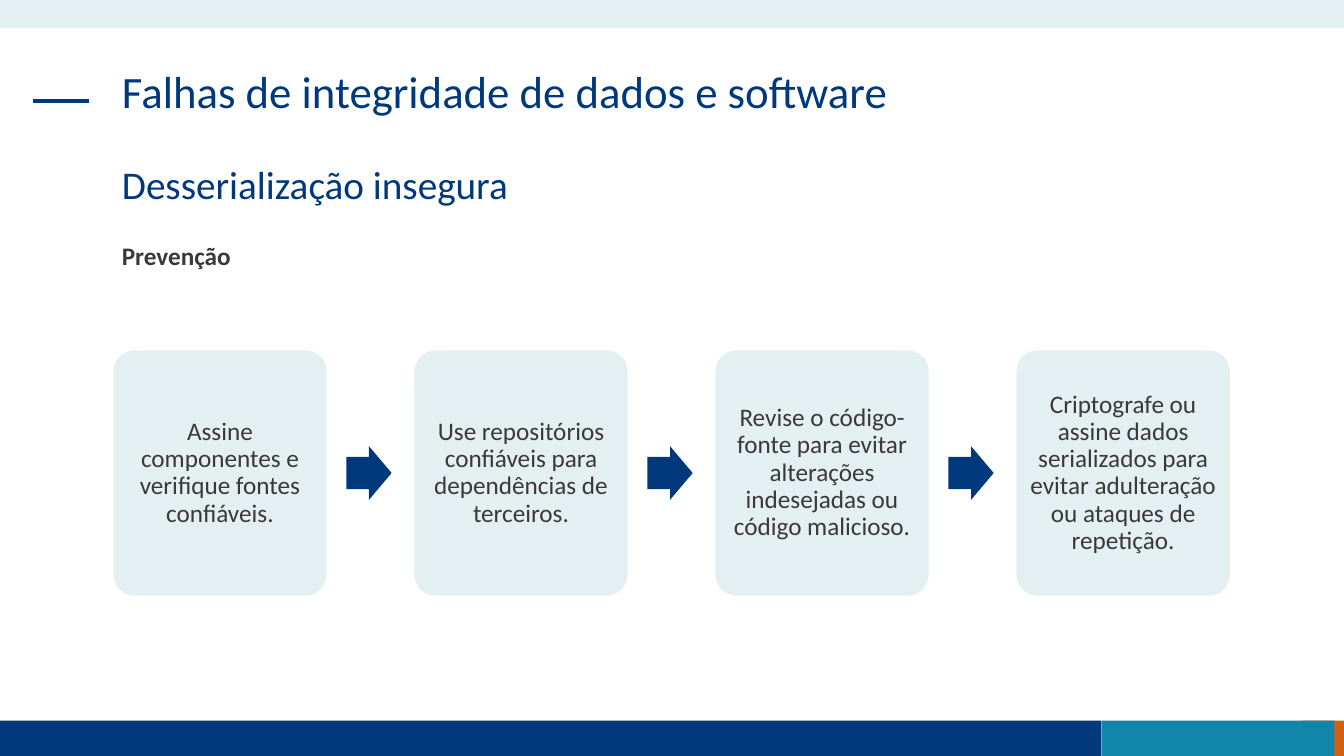
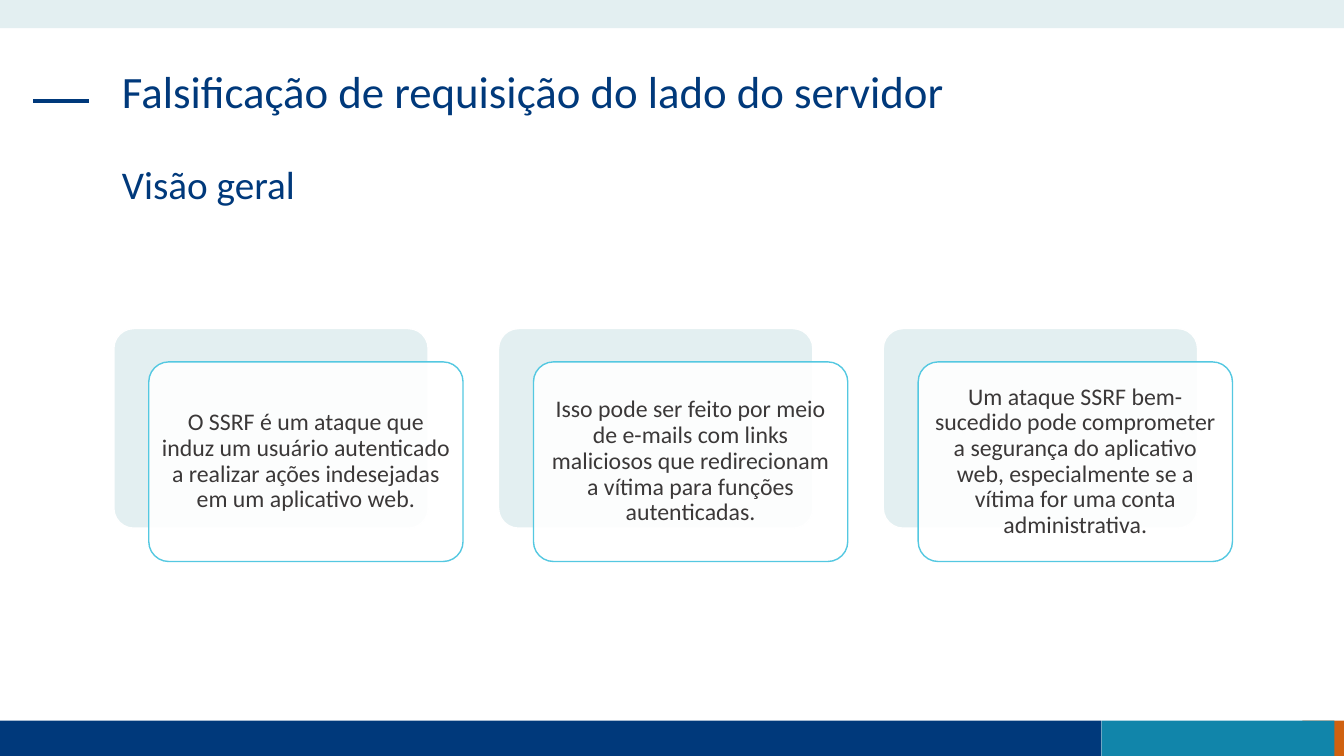
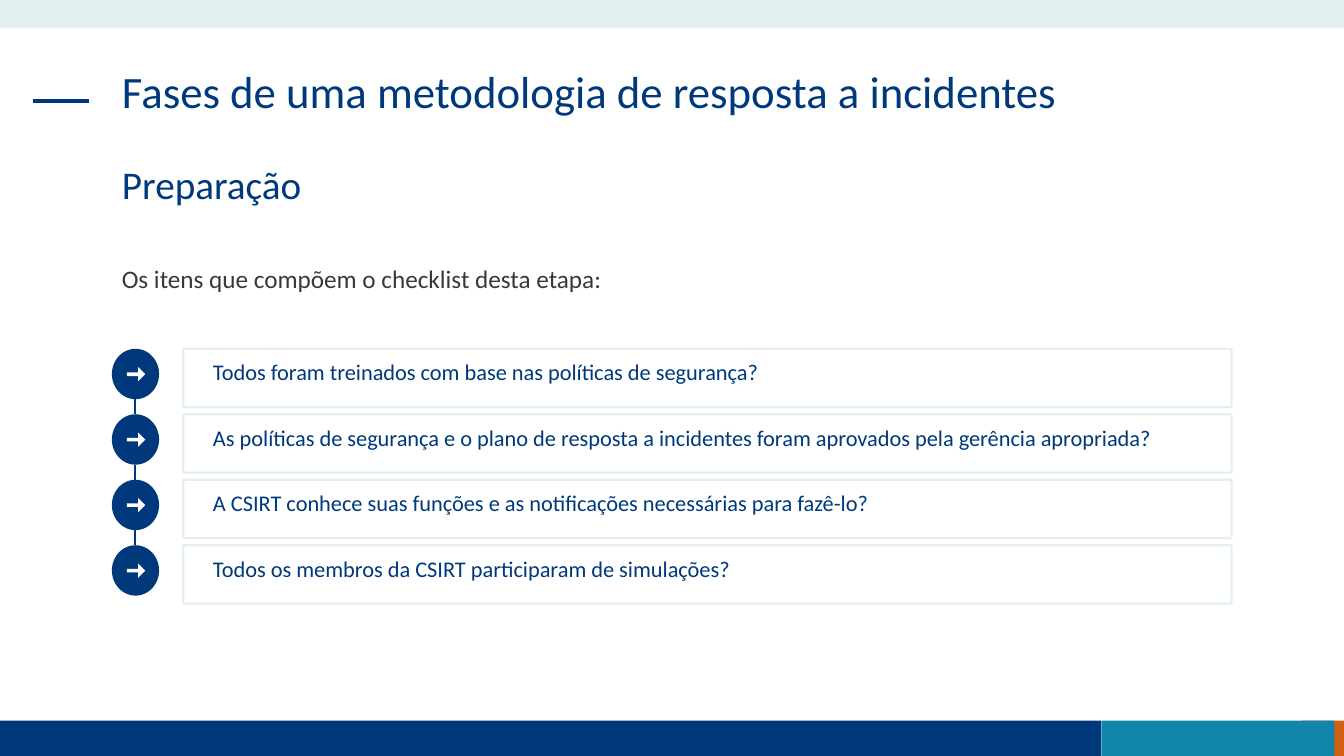
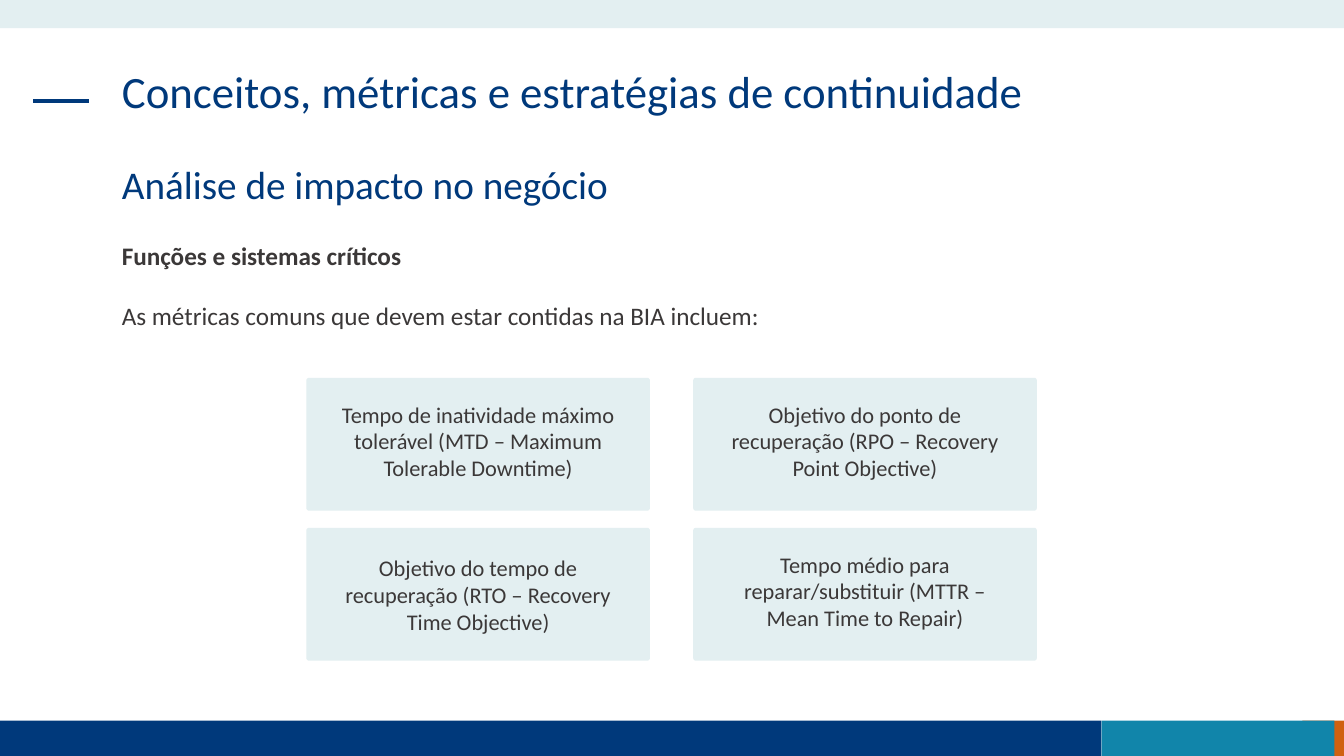
import pptx
import pptx.dml.color
import pptx.enum.shapes
import pptx.enum.text
import pptx.oxml.ns
import pptx.oxml.xmlchemy
import pptx.util

Cm = pptx.util.Cm
Pt = pptx.util.Pt
PRESET = pptx.enum.shapes.MSO_SHAPE
ALIGN = pptx.enum.text.PP_ALIGN
ANCHOR = pptx.enum.text.MSO_ANCHOR

FONT = "Calibri"
COLORS = {
    "navy": "00397B",
    "teal": "1185AA",
    "orange": "D06110",
    "mist": "E3EFF1",
    "sky": "54C8E1",
    "white": "FFFFFF",
    "text": "3B3838",
}
SLIDE_WIDTH, SLIDE_HEIGHT = 33.87, 19.05
CONTENT_LEFT, CONTENT_WIDTH = 2.82, 28.19


# --- Helpers: every length is a number of centimetres ---
def rgb(name):
    return pptx.dml.color.RGBColor.from_string(COLORS[name])


def add_text(frame, text, size, color, align=ALIGN.LEFT, bold=False, spacing=1.0):
    frame.word_wrap = True
    frame.auto_size = pptx.enum.text.MSO_AUTO_SIZE.NONE
    paragraph = frame.paragraphs[0]
    paragraph.alignment = align
    paragraph.line_spacing = spacing
    paragraph.space_before = Pt(0)
    run = paragraph.add_run()
    run.text = text
    run.font.name = FONT
    run.font.size = Pt(size)
    run.font.bold = bold
    run.font.color.rgb = rgb(color)


def set_margins(frame, left, top, right, bottom):
    frame.margin_left, frame.margin_top = Cm(left), Cm(top)
    frame.margin_right, frame.margin_bottom = Cm(right), Cm(bottom)


def add_shape(slide, preset, left, top, width, height, fill=None, line=None,
              line_width=1, adjustments=()):
    shape = slide.shapes.add_shape(preset, Cm(left), Cm(top), Cm(width), Cm(height))
    shape.shadow.inherit = False
    for index, value in enumerate(adjustments):
        shape.adjustments[index] = value
    if fill:
        shape.fill.solid()
        shape.fill.fore_color.rgb = rgb(fill)
    else:
        shape.fill.background()
    if line:
        shape.line.color.rgb = rgb(line)
        shape.line.width = Pt(line_width)
    else:
        shape.line.fill.background()
    return shape


def add_line(slide, start, end, width):
    connector = slide.shapes.add_connector(
        pptx.enum.shapes.MSO_CONNECTOR.STRAIGHT, *map(Cm, start + end))
    connector.line.color.rgb = rgb("navy")
    connector.line.width = Pt(width)
    connector.element.spPr.append(pptx.oxml.xmlchemy.OxmlElement("a:effectLst"))
    return connector


def set_opacity(shape, percent):
    color = shape.element.spPr.find(
        pptx.oxml.ns.qn("a:solidFill") + "/" + pptx.oxml.ns.qn("a:srgbClr"))
    alpha = pptx.oxml.xmlchemy.OxmlElement("a:alpha")
    alpha.set("val", str(percent * 1000))
    color.append(alpha)


def remove_bullet(paragraph):
    properties = paragraph._p.get_or_add_pPr()
    properties.set("marL", "0")
    properties.set("indent", "0")
    properties.append(pptx.oxml.xmlchemy.OxmlElement("a:buNone"))


# --- Shared frame: bands, accent line, headings ---
def move_bands_to_layout(slide, layout):
    """Draw the bands once and hand them to the layout all slides use."""
    for placeholder in list(layout.placeholders):
        if placeholder.placeholder_format.idx >= 10:
            layout.shapes.element.remove(placeholder.element)
    footer_top, footer_height = 18.16, 0.89
    bands = [
        (32.82, footer_top, 1.05, footer_height, "orange"),
        (0, footer_top, 27.76, footer_height, "navy"),
        (27.76, footer_top, 5.87, footer_height, "teal"),
        (0, 0, SLIDE_WIDTH, 0.71, "mist"),
    ]
    parts = [add_shape(slide, PRESET.RECTANGLE, *box, fill=color)
             for *box, color in bands]
    parts.append(add_line(slide, (0.84, 2.54), (2.24, 2.54), 3))
    for part in parts:
        layout.shapes.element.append(part.element)


def add_headings(slide, title, subtitle):
    headings = [
        (slide.shapes.title, title, 1.63, 32),
        (slide.placeholders[1], subtitle, 4.04, 28),
    ]
    for placeholder, text, top, size in headings:
        placeholder.left, placeholder.top = Cm(CONTENT_LEFT), Cm(top)
        placeholder.width, placeholder.height = Cm(CONTENT_WIDTH), Cm(2.39)
        frame = placeholder.text_frame
        frame.vertical_anchor = ANCHOR.TOP
        remove_bullet(frame.paragraphs[0])
        add_text(frame, text, size, "navy", spacing=0.9)


def add_label(slide, text, top, bold=False):
    box = slide.shapes.add_textbox(
        Cm(CONTENT_LEFT), Cm(top), Cm(CONTENT_WIDTH), Cm(1.02))
    add_text(box.text_frame, text, 18, "text", bold=bold)


def fill_card(card, text, size):
    frame = card.text_frame
    set_margins(frame, 0.18, 0.18, 0.18, 0.18)
    frame.vertical_anchor = ANCHOR.MIDDLE
    add_text(frame, text, size, "text", ALIGN.CENTER, spacing=0.9)


# --- Content regions ---
def add_process(slide, left, top, width, height, steps):
    """Row of cards joined by block arrows."""
    card_width, arrow_width, arrow_height, arrow_gap = 5.41, 1.14, 1.35, 0.48
    pitch = (width - card_width) / (len(steps) - 1)
    for index, step in enumerate(steps):
        card_left = left + index * pitch
        if index:
            add_shape(slide, PRESET.RIGHT_ARROW,
                      card_left - pitch + card_width + arrow_gap,
                      top + (height - arrow_height) / 2, arrow_width, arrow_height,
                      fill="navy", adjustments=(0.6, 0.5))
        card = add_shape(slide, PRESET.ROUNDED_RECTANGLE, card_left, top, card_width,
                         height, fill="mist", line="white", adjustments=(0.1,))
        fill_card(card, step, 18)


def add_layered_cards(slide, left, top, width, height, texts):
    """Row of outlined cards, each in front of an offset backing card."""
    shift_x, shift_y, card_width = 0.88, 0.84, 7.92
    card_height = height - shift_y
    pitch = (width - card_width - shift_x) / (len(texts) - 1)
    for index, text in enumerate(texts):
        card_left = left + index * pitch
        add_shape(slide, PRESET.ROUNDED_RECTANGLE, card_left, top, card_width,
                  card_height, fill="mist", line="white", adjustments=(0.1,))
        front = add_shape(slide, PRESET.ROUNDED_RECTANGLE, card_left + shift_x,
                          top + shift_y, card_width, card_height, fill="white",
                          line="sky", adjustments=(0.1,))
        set_opacity(front, 90)
        fill_card(front, text, 17)


def add_checklist(slide, left, top, width, items):
    """Framed rows, each with a round arrow marker linked to the next."""
    pitch, row_height, row_offset = 1.65, 1.47, 1.8
    marker_width, marker_height = 1.19, 1.27
    for index, item in enumerate(items):
        row_top = top + index * pitch
        add_shape(slide, PRESET.OVAL, left, row_top, marker_width, marker_height,
                  fill="navy")
        add_shape(slide, PRESET.RIGHT_ARROW, left + 0.38, row_top + 0.46, 0.46, 0.36,
                  fill="white", adjustments=(0.26, 0.5))
        if index < len(items) - 1:
            line_left = left + 0.58
            add_line(slide, (line_left, row_top + marker_height),
                     (line_left, row_top + pitch), 1.5)
        row = add_shape(slide, PRESET.ROUNDED_RECTANGLE, left + row_offset, row_top,
                        width - row_offset, row_height, line="mist", line_width=1.5,
                        adjustments=(0.02,))
        row.text_frame.vertical_anchor = ANCHOR.TOP
        set_margins(row.text_frame, 0.74, 0.23, 0.25, 0)
        add_text(row.text_frame, item, 16, "navy")


def add_metric_grid(slide, left, top, width, height, metrics):
    """Two-column grid of cards; each metric has its text and top margin."""
    columns, card_width, card_height = 2, 8.66, 3.35
    for index, (text, margin_top) in enumerate(metrics):
        row, column = divmod(index, columns)
        card = add_shape(slide, PRESET.ROUNDED_RECTANGLE,
                         left + column * (width - card_width),
                         top + row * (height - card_height), card_width, card_height,
                         fill="mist", adjustments=(0.02,))
        card.text_frame.vertical_anchor = ANCHOR.TOP
        set_margins(card.text_frame, 0.82, margin_top, 0.82, 0)
        add_text(card.text_frame, text, 16, "text", ALIGN.CENTER)


# --- Slides ---
def build_prevention(slide):
    add_headings(slide, "Falhas de integridade de dados e software",
                 "Desserialização insegura")
    add_label(slide, "Prevenção", 5.94, bold=True)
    add_process(slide, 2.84, 8.81, 28.17, 6.22, [
        "Assine componentes e verifique fontes confiáveis.",
        "Use repositórios confiáveis para dependências de terceiros.",
        "Revise o código-fonte para evitar alterações indesejadas ou código malicioso.",
        "Criptografe ou assine dados serializados para evitar adulteração ou ataques "
        "de repetição.",
    ])


def build_request_forgery(slide):
    add_headings(slide, "Falsificação de requisição do lado do servidor", "Visão geral")
    add_layered_cards(slide, 2.87, 8.28, 28.19, 5.87, [
        "O SSRF é um ataque que induz um usuário autenticado a realizar ações "
        "indesejadas em um aplicativo web.",
        "Isso pode ser feito por meio de e-mails com links maliciosos que redirecionam "
        "a vítima para funções autenticadas.",
        "Um ataque SSRF bem-sucedido pode comprometer a segurança do aplicativo web, "
        "especialmente se a vítima for uma conta administrativa.",
    ])


def build_preparation(slide):
    add_headings(slide, "Fases de uma metodologia de resposta a incidentes", "Preparação")
    add_label(slide, "Os itens que compõem o checklist desta etapa:", 6.5)
    add_checklist(slide, CONTENT_LEFT, 8.79, 28.22, [
        "Todos foram treinados com base nas políticas de segurança?",
        "As políticas de segurança e o plano de resposta a incidentes foram aprovados "
        "pela gerência apropriada?",
        "A CSIRT conhece suas funções e as notificações necessárias para fazê-lo?",
        "Todos os membros da CSIRT participaram de simulações?",
    ])


def build_impact_analysis(slide):
    add_headings(slide, "Conceitos, métricas e estratégias de continuidade",
                 "Análise de impacto no negócio")
    add_label(slide, "Funções e sistemas críticos", 5.94, bold=True)
    add_label(slide, "As métricas comuns que devem estar contidas na BIA incluem:", 7.44)
    add_metric_grid(slide, 7.72, 9.52, 18.41, 7.13, [
        ("Tempo de inatividade máximo tolerável (MTD ‒ Maximum Tolerable Downtime)", 0.56),
        ("Objetivo do ponto de recuperação (RPO ‒ Recovery Point Objective)", 0.56),
        ("Objetivo do tempo de recuperação (RTO ‒ Recovery Time Objective)", 0.64),
        ("Tempo médio para reparar/substituir (MTTR ‒ Mean Time to Repair)", 0.56),
    ])


def main():
    presentation = pptx.Presentation()
    presentation.slide_width = Cm(SLIDE_WIDTH)
    presentation.slide_height = Cm(SLIDE_HEIGHT)
    layout = presentation.slide_layouts[1]
    builders = [build_prevention, build_request_forgery, build_preparation,
                build_impact_analysis]
    slides = [presentation.slides.add_slide(layout) for _ in builders]
    move_bands_to_layout(slides[0], layout)
    for build, slide in zip(builders, slides):
        build(slide)
    presentation.save("out.pptx")


if __name__ == "__main__":
    main()
